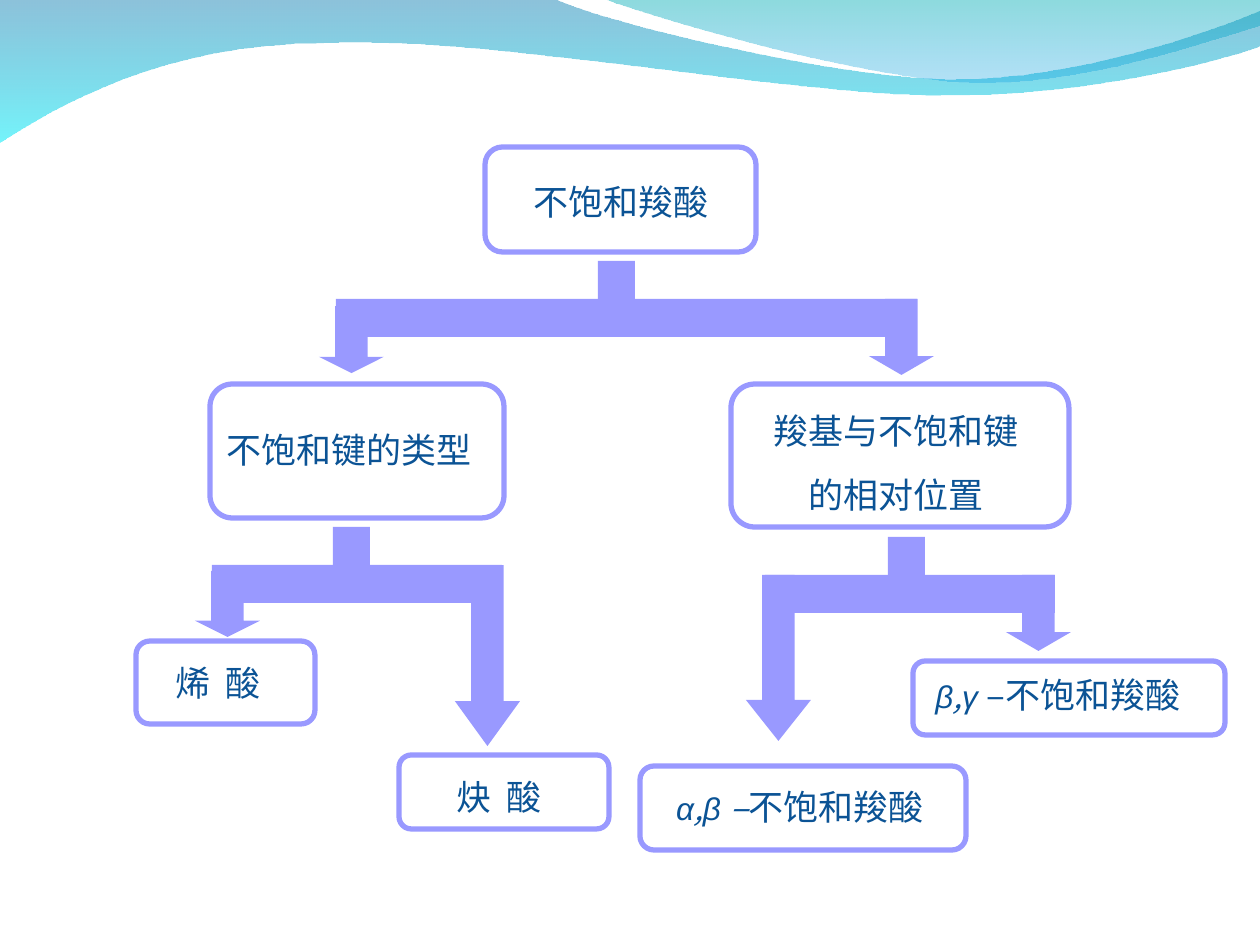
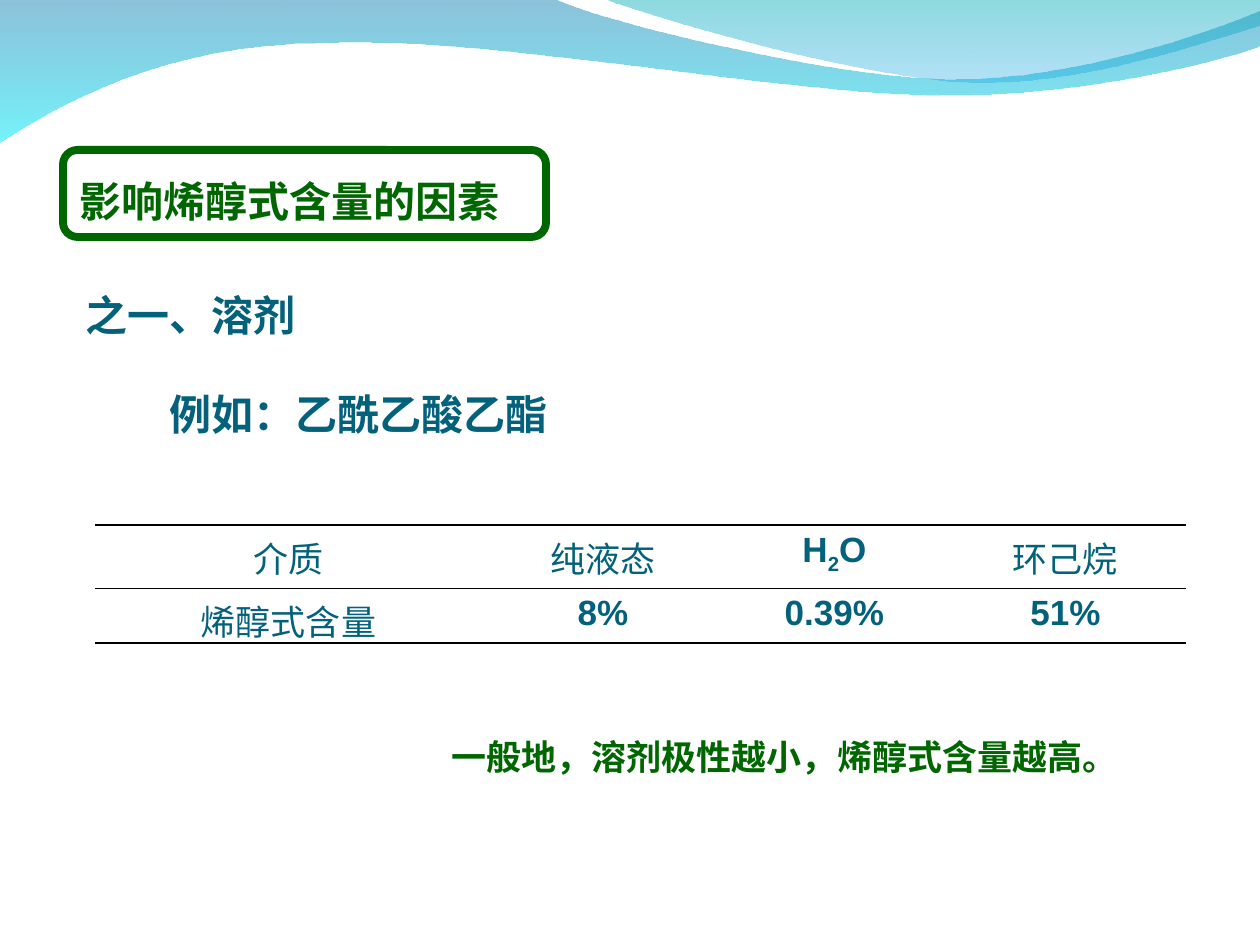
import pptx
import pptx.util
import pptx.dml.color
import pptx.enum.shapes
import pptx.enum.text
import pptx.oxml
import pptx.oxml.ns

PX = 914400 / 126
CJK, LATIN = "Noto Sans CJK SC", "Arial"
C = {"violet": "9999FF", "blue": "0B5395", "teal": "04617B", "green": "006600", "black": "000000"}
NS = pptx.oxml.ns.nsdecls("a")
qn = pptx.oxml.ns.qn
rgb = pptx.dml.color.RGBColor.from_string
MSO = pptx.enum.shapes.MSO_SHAPE
ALIGN = pptx.enum.text.PP_ALIGN


def shape(s, kind, at, fill=None, line=None, width=3, adj=()):
    at = [round(v * PX) for v in at]
    if kind is None:
        return s.shapes.add_textbox(*at)
    sp = s.shapes.add_shape(kind, *at)
    sp.shadow.inherit = False
    for i, value in enumerate(adj):
        sp.adjustments[i] = value
    if fill:
        sp.fill.solid()
        sp.fill.fore_color.rgb = rgb(fill)
    else:
        sp.fill.background()
    if line:
        sp.line.color.rgb = rgb(line)
        sp.line.width = pptx.util.Pt(width)
    else:
        sp.line.fill.background()
    return sp


def write(tf, text, align=ALIGN.LEFT, spacing=None, before=0, **fmt):
    tf.word_wrap = True
    for i, runs in enumerate(text if isinstance(text, list) else [text]):
        p = tf.add_paragraph() if i else tf.paragraphs[0]
        p.alignment = align
        if spacing:
            p.line_spacing = spacing
        if i and before:
            p.space_before = pptx.util.Pt(before)
        for run in [(runs, {})] if isinstance(runs, str) else runs:
            look = {"font": CJK, "size": 20, "color": C["blue"], "bold": False,
                    "italic": False, "base": 0, **fmt, **run[1]}
            r = p.add_run()
            r.text = run[0]
            r.font.name = look["font"]
            r.font.size = pptx.util.Pt(look["size"])
            r.font.bold = look["bold"]
            r.font.italic = look["italic"]
            r.font.color.rgb = rgb(look["color"])
            rPr = r.font._element
            east = look.get("east", look["font"])
            rPr.append(pptx.oxml.parse_xml(f'<a:ea {NS} typeface="{east}"/>'))
            if look["base"]:
                rPr.set("baseline", str(look["base"] * 1000))


prs = pptx.Presentation()
prs.slide_width = pptx.util.Inches(10)
prs.slide_height = pptx.util.Inches(7.5)
tree, factors = [prs.slides.add_slide(prs.slide_layouts[6]) for _ in range(2)]

WAVES = [
    ([[(0, 0)], [(556, 0)],
      [(600, 21), (837, 79), (955, 79)], [(1075, 79), (1207, 33), (1260, 11)],
      [(1260, 46)],
      [(1239, 55), (1096, 96), (940, 95)], [(784, 95), (481, 35), (324, 43)],
      [(163, 44), (58, 105), (0, 142)]],
     [("0079AF", 45), ("00EBF8", 55)]),
    ([[(606, 0)],
      [(641, 14), (859, 78), (969, 82)], [(1079, 87), (1211, 40), (1260, 26)],
      [(1260, 0)]],
     [("00ADB6", 45), ("009BE5", 30)]),
]
master = prs.slide_master.shapes.element
for depth, (segments, stops) in enumerate(WAVES):
    points = [pt for seg in segments for pt in seg]
    fb = tree.shapes.build_freeform(*points[0], scale=PX)
    fb.add_line_segments(points[1:], close=True)
    sp = fb.convert_to_shape()
    lines = list(sp._element.iter(qn("a:lnTo")))
    for seg in segments[1:]:
        group, lines = lines[:len(seg)], lines[len(seg):]
        if len(seg) == 3:
            curve = pptx.oxml.parse_xml(f"<a:cubicBezTo {NS}/>")
            group[0].addprevious(curve)
            for ln in group:
                curve.append(ln[0])
                ln.getparent().remove(ln)
    sp.shadow.inherit = False
    sp.line.fill.background()
    sp.fill.gradient()
    sp.fill.gradient_angle = 270
    for stop, (color, alpha) in zip(sp.fill.gradient_stops, stops):
        stop.color.rgb = rgb(color)
    for clr, (color, alpha) in zip(sp._element.spPr.iter(qn("a:srgbClr")), stops):
        clr.append(pptx.oxml.parse_xml(f'<a:alpha {NS} val="{alpha * 1000}"/>'))
    master.insert(2 + depth, sp._element)

BARS = [
    (598, 261, 37, 76), (336, 299, 581, 38),
    (333, 527, 37, 76), (212, 565, 290, 38),
    (888, 537, 37, 76), (765, 575, 290, 38),
]
ARROWS = [
    ((319, 306, 65, 67), 0.25), ((869, 299, 65, 76), 0.29),
    ((195, 571, 65, 66), 0.25), ((455, 565, 65, 181), 0.69),
    ((746, 575, 65, 166), 0.63), ((1006, 575, 65, 76), 0.29),
]
for at in BARS:
    shape(tree, MSO.RECTANGLE, at, fill=C["violet"])
for at, head in ARROWS:
    shape(tree, MSO.DOWN_ARROW, at, fill=C["violet"], adj=(0.5, head))

greek = {"font": LATIN, "size": 18, "italic": True}
comma = {"size": 18, "italic": True}
NODES = [
    ((485, 147, 271, 105), (476, 189, 290, 38), "不饱和羧酸", 0.6),
    ((210, 384, 294, 134), (204, 422, 290, 55), "不饱和键的类型", None),
    ((731, 384, 338, 143), (728, 403, 336, 118), ["羧基与不饱和键", "的相对位置"], None),
    ((136, 641, 179, 83), (73, 670, 290, 38), "烯  酸", 0.6),
    ((399, 755, 210, 74), (354, 784, 290, 38), "炔  酸", 0.6),
    ((640, 766, 326, 84), (635, 784, 330, 50),
     [[("α", greek), (",", comma), ("β ", greek), ("–", {"italic": True}), ("不饱和羧酸", {})]], 0.9),
    ((913, 661, 312, 74), (898, 672, 320, 50),
     [[("β", greek), (",", comma), ("γ ", greek), ("–不饱和羧酸", {})]], 0.9),
]
for frame, label, text, spacing in NODES:
    shape(tree, MSO.ROUNDED_RECTANGLE, frame, line=C["violet"], adj=(0.167,))
    write(shape(tree, None, label).text_frame, text, align=ALIGN.CENTER, spacing=spacing, before=12.5)

title = shape(factors, MSO.ROUNDED_RECTANGLE, (63, 150, 483, 87), line=C["green"], width=4.5, adj=(0.167,))
write(title.text_frame, "影响烯醇式含量的因素", spacing=1.3, size=24, bold=True, color=C["green"])

NOTES = [
    ((157, 367, 451, 78), "例如：乙酰乙酸乙酯", 1.3, 24, "teal"),
    ((439, 717, 727, 67), "一般地，溶剂极性越小，烯醇式含量越高。", 1.3, 20, "green"),
    ((73, 283, 262, 63), "之一、溶剂", None, 24, "teal"),
]
for at, text, spacing, size, color in NOTES:
    write(shape(factors, None, at).text_frame, text, spacing=spacing, size=size,
          font=LATIN, bold=True, color=C[color])

bold = {"bold": True, "east": LATIN}
ROWS = [
    ["介质", "纯液态", [[("H", bold), ("2", {**bold, "base": -25}), ("O", bold)]], "环己烷"],
    ["烯醇式含量"] + [[[(value, bold)]] for value in ("8%", "0.39%", "51%")],
]
WIDTHS, HEIGHTS = (387, 242, 221, 241), (63, 55)
RULES = (1.08, 0.45, 1.08)
at = (95, 525, sum(WIDTHS), sum(HEIGHTS))
tbl = factors.shapes.add_table(len(ROWS), len(WIDTHS), *[round(v * PX) for v in at]).table
tbl.first_row = tbl.horz_banding = False
for col, width in zip(tbl.columns, WIDTHS):
    col.width = round(width * PX)
for i, (row, height) in enumerate(zip(ROWS, HEIGHTS)):
    tbl.rows[i].height = round(height * PX)
    for j, text in enumerate(row):
        cell = tbl.cell(i, j)
        cell.margin_bottom = 0
        write(cell.text_frame, text, align=ALIGN.CENTER, font=LATIN, east=CJK, color=C["teal"])
        tcPr = cell._tc.get_or_add_tcPr()
        for side, width in (("L", 0), ("R", 0), ("T", RULES[i]), ("B", RULES[i + 1])):
            paint = f'<a:solidFill><a:srgbClr val="{C["black"]}"/></a:solidFill>' if width else "<a:noFill/>"
            tcPr.append(pptx.oxml.parse_xml(
                f'<a:ln{side} {NS} w="{round(width * 12700)}">{paint}</a:ln{side}>'))
        cell.fill.background()

prs.save("out.pptx")
